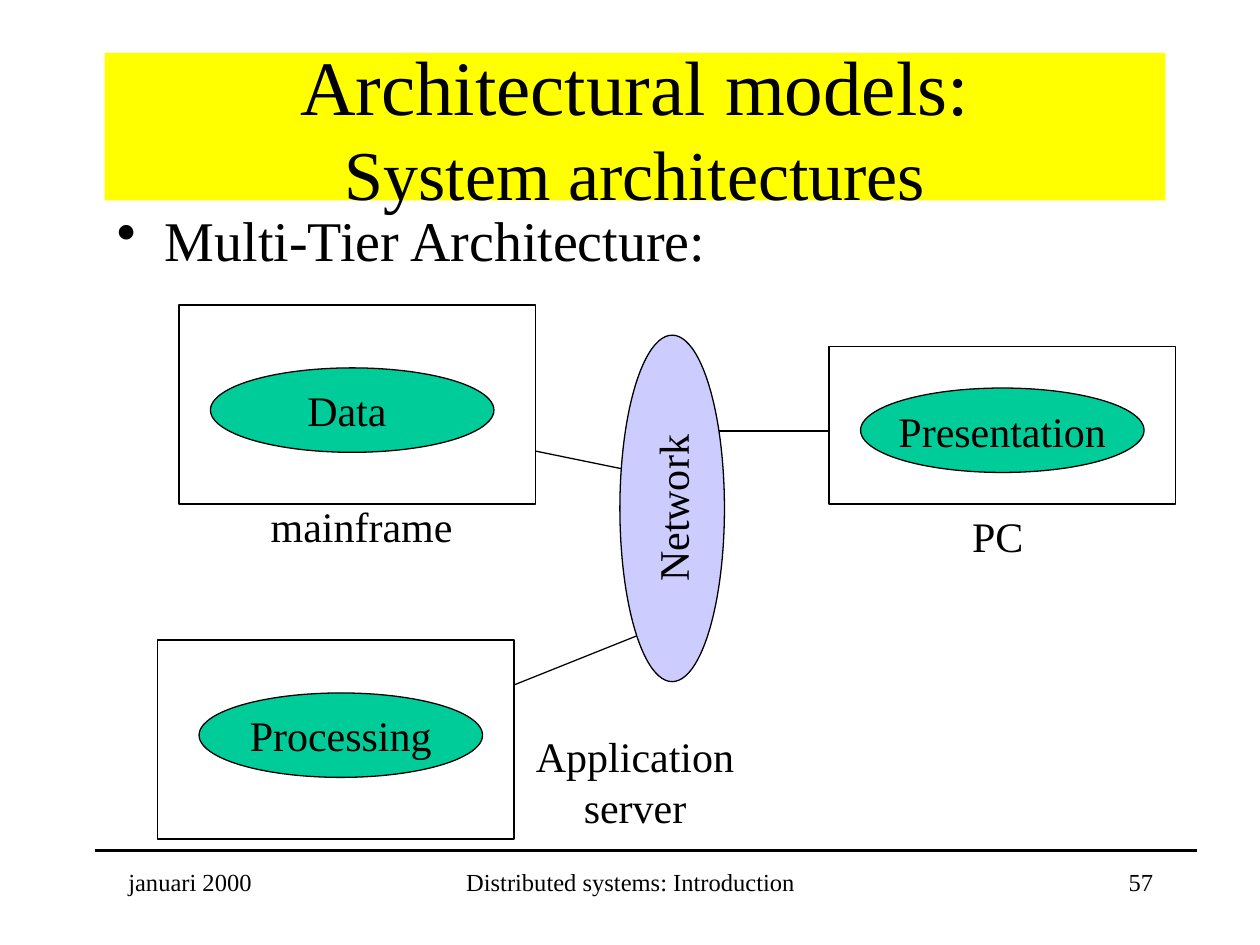
from lxml import etree
from pptx import Presentation
from pptx.dml.color import RGBColor
from pptx.enum.shapes import MSO_CONNECTOR, MSO_SHAPE
from pptx.enum.text import MSO_ANCHOR, PP_ALIGN
from pptx.oxml.ns import qn
from pptx.util import Inches, Pt

BLACK = RGBColor(0x00, 0x00, 0x00)
WHITE = RGBColor(0xFF, 0xFF, 0xFF)
YELLOW = RGBColor(0xFF, 0xFF, 0x00)
GREEN = RGBColor(0x00, 0xCC, 0x99)
LAVENDER = RGBColor(0xCC, 0xCC, 0xFF)

deck = Presentation()
deck.slide_width = Inches(10)
deck.slide_height = Inches(7.5)
page = deck.slides.add_slide(deck.slide_layouts[6])


def write(box, text, size, align=PP_ALIGN.CENTER, wrap=True):
    frame = box.text_frame
    frame.word_wrap = wrap
    paragraph = frame.paragraphs[0]
    paragraph.text = text
    paragraph.alignment = align
    for span in paragraph.runs:
        span.font.name = "Times New Roman"
        span.font.size = Pt(size)
        span.font.color.rgb = BLACK
    return paragraph


def add_filled(kind, bounds, color, outlined=True):
    shape = page.shapes.add_shape(kind, *map(Inches, bounds))
    shape.shadow.inherit = False
    shape.fill.solid()
    shape.fill.fore_color.rgb = color
    if outlined:
        shape.line.color.rgb = BLACK
        shape.line.width = Pt(0.75)
    else:
        shape.line.fill.background()
    shape.text_frame.vertical_anchor = MSO_ANCHOR.MIDDLE
    return shape


# Footer rule and network links, behind everything else
for *ends, width in [
    (0.75, 6.75, 9.5, 6.75, 1.5),
    (3.92, 5.5, 5.17, 5, 0.75),
    (4.25, 3.58, 5.08, 3.75, 0.75),
    (5.5, 3.42, 6.67, 3.42, 0.75),
]:
    line = page.shapes.add_connector(MSO_CONNECTOR.STRAIGHT, *map(Inches, ends))
    line.line.color.rgb = BLACK
    line.line.width = Pt(width)
    etree.SubElement(line._element.spPr, qn("a:effectLst"))

# Title
title = add_filled(MSO_SHAPE.RECTANGLE, (0.83, 0.42, 8.42, 1.17), YELLOW, outlined=False)
heading = write(title, "Architectural models:\vSystem architectures", 44)
heading.runs[1].font.size = Pt(40)

# Bullet
body = page.shapes.add_textbox(Inches(0.83), Inches(1.58), Inches(8.42), Inches(5.08))
bullet = write(body, "Multi-Tier Architecture:", 32, PP_ALIGN.LEFT)
properties = bullet._p.get_or_add_pPr()
properties.set("marL", str(Inches(0.38)))
properties.set("indent", str(Inches(-0.38)))
etree.SubElement(properties, qn("a:buChar")).set("char", "•")

# Machines, each with the tier it runs
for machine, tier, label in [
    ((1.25, 5.08, 2.83, 1.58), (1.58, 5.5), "Processing"),
    ((1.42, 2.42, 2.83, 1.58), (1.67, 2.92), "Data "),
    ((6.58, 2.75, 2.75, 1.25), (6.83, 3.08), "Presentation"),
]:
    add_filled(MSO_SHAPE.RECTANGLE, machine, WHITE)
    oval = add_filled(MSO_SHAPE.OVAL, (*tier, 2.25, 0.67), GREEN)
    write(oval, label, 24, wrap=False)

network = add_filled(MSO_SHAPE.OVAL, (3.96, 3.62, 2.75, 0.83), LAVENDER)
network.rotation = 270
write(network, "Network", 24, wrap=False)

# Machine names and footer
for bounds, text, size, align in [
    ((1.58, 3.92, 2.58, 0.5), "mainframe", 24, PP_ALIGN.CENTER),
    ((6.92, 4, 2.08, 0.5), "PC ", 24, PP_ALIGN.CENTER),
    ((4, 5.75, 2.08, 0.9), "Application server", 24, PP_ALIGN.CENTER),
    ((3.42, 6.83, 3.17, 0.5), "Distributed systems: Introduction", 14, PP_ALIGN.CENTER),
    ((7.17, 6.83, 2.08, 0.5), "57", 14, PP_ALIGN.RIGHT),
    ((0.92, 6.83, 2.08, 0.5), "januari 2000", 14, PP_ALIGN.LEFT),
]:
    write(page.shapes.add_textbox(*map(Inches, bounds)), text, size, align)

deck.save("out.pptx")
